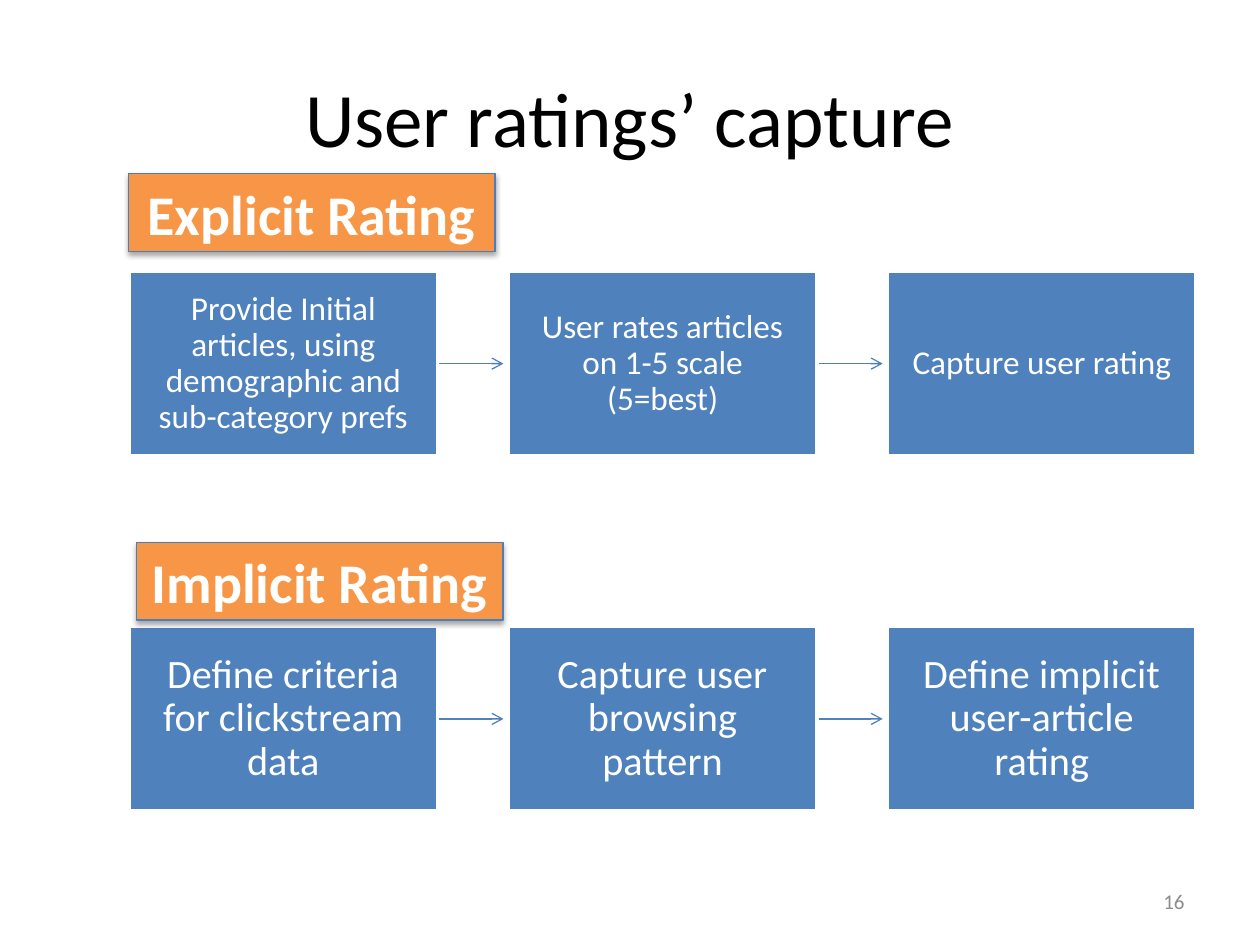
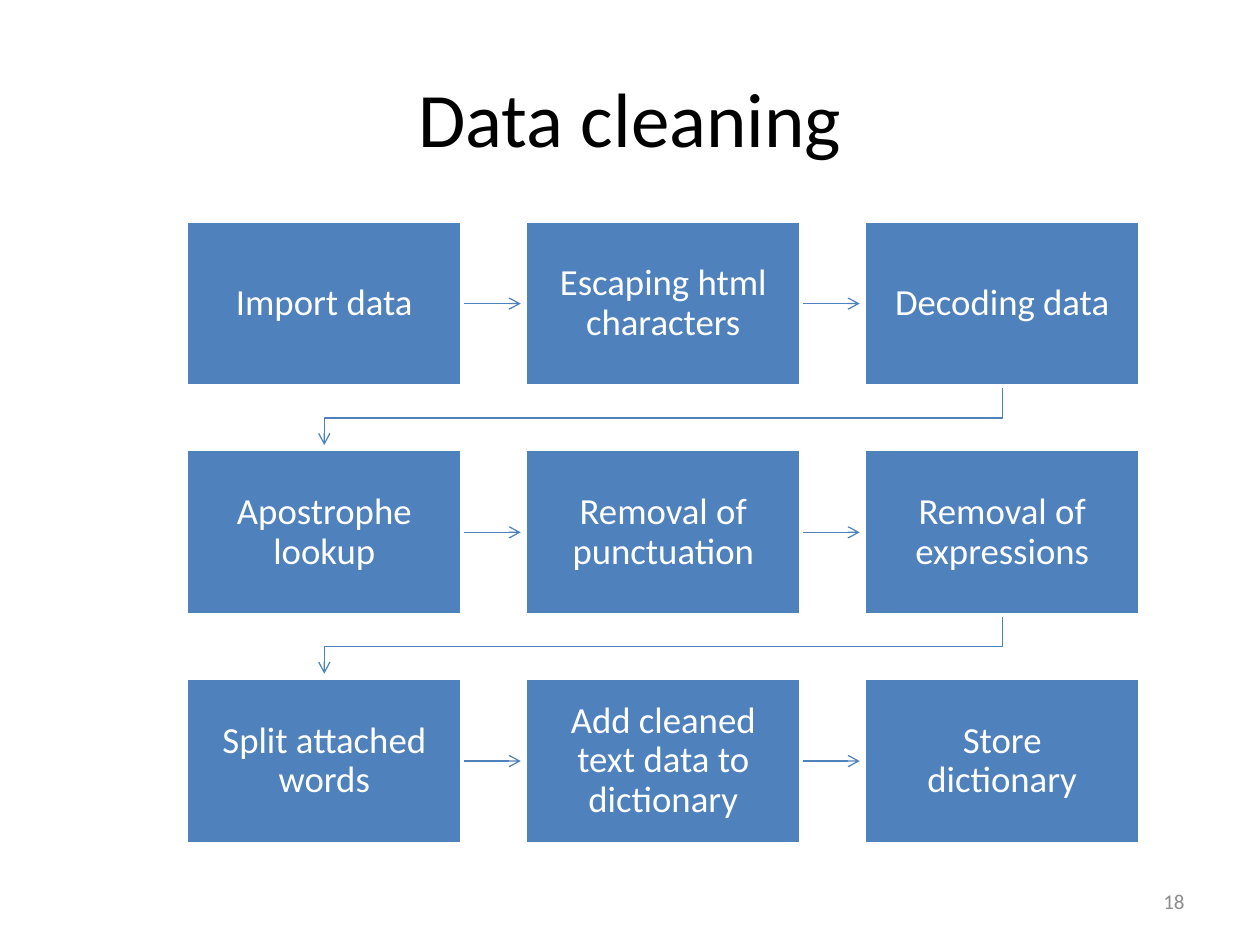
from dataclasses import dataclass

from lxml import etree
from pptx import Presentation
from pptx import util as u
from pptx.dml.color import RGBColor
from pptx.enum import shapes, text
from pptx.oxml import parse_xml
from pptx.oxml.ns import nsdecls, qn


@dataclass(frozen=True)
class Theme:
    font: str = "Calibri"
    blue: str = "4F81BD"
    orange: str = "F79646"
    label_edge: str = "4B7EBC"
    white: str = "FFFFFF"
    black: str = "000000"
    grey: str = "8C8C8C"
    title_size: float = 44
    label_size: float = 32
    number_size: float = 12
    thin_line: float = 0.75
    box_line: float = 2


THEME = Theme()
ARROW_GAP = 2.7      # space between an arrowhead and the next box
INSET_RATIO = 0.56   # box inset relative to type size


@dataclass(frozen=True)
class Grid:
    left: float
    top: float
    width: float
    height: float
    column_step: float
    row_step: float
    size: float


# --- Text and line basics ---
def write(shape, words, size, color, align=text.PP_ALIGN.CENTER, bold=False, spacing=None):
    frame = shape.text_frame
    frame.word_wrap = True
    frame.vertical_anchor = text.MSO_ANCHOR.MIDDLE
    paragraph = frame.paragraphs[0]
    paragraph.alignment = align
    if spacing:
        paragraph.line_spacing = spacing
    run = paragraph.add_run()
    run.text = words
    run.font.name = THEME.font
    run.font.size = u.Pt(size)
    run.font.bold = bold
    run.font.color.rgb = RGBColor.from_string(color)


def add_text(slide, words, left, top, width, height, size, color, align=text.PP_ALIGN.CENTER):
    shape = slide.shapes.add_textbox(*map(u.Pt, (left, top, width, height)))
    write(shape, words, size, color, align)


def add_rectangle(slide, left, top, width, height, fill, edge, edge_width):
    shape = slide.shapes.add_shape(
        shapes.MSO_SHAPE.RECTANGLE, *map(u.Pt, (left, top, width, height)))
    shape.shadow.inherit = False
    shape.fill.solid()
    shape.fill.fore_color.rgb = RGBColor.from_string(fill)
    shape.line.color.rgb = RGBColor.from_string(edge)
    shape.line.width = u.Pt(edge_width)
    return shape


def style_arrow(arrow):
    arrow.line.color.rgb = RGBColor.from_string(THEME.blue)
    arrow.line.width = u.Pt(THEME.thin_line)
    properties = arrow.element.spPr
    etree.SubElement(properties.find(qn("a:ln")), qn("a:tailEnd"), type="arrow")
    if properties.find(qn("a:effectLst")) is None:
        etree.SubElement(properties, qn("a:effectLst"))


# --- Flow elements ---
def add_step(slide, words, left, top, grid):
    box = add_rectangle(slide, left, top, grid.width, grid.height,
                        THEME.blue, THEME.white, THEME.box_line)
    frame = box.text_frame
    inset = u.Pt(grid.size * INSET_RATIO)
    frame.margin_left = frame.margin_right = inset
    frame.margin_top = frame.margin_bottom = inset
    write(box, words, grid.size, THEME.white, spacing=0.9)
    return box


def add_arrow(slide, source, target):
    middle = source.top + source.height // 2
    arrow = slide.shapes.add_connector(
        shapes.MSO_CONNECTOR.STRAIGHT, source.left + source.width, middle,
        target.left - u.Pt(ARROW_GAP), middle)
    arrow.begin_connect(source, 3)
    style_arrow(arrow)
    source.element.addprevious(arrow.element)  # behind the box border


def add_return_arrow(slide, source, target):
    start_x = source.left + source.width // 2
    end_x = target.left + target.width // 2
    start_y = source.top + source.height
    turn_y = (start_y + target.top) // 2
    builder = slide.shapes.build_freeform(start_x, start_y)
    builder.add_line_segments(
        [(start_x, turn_y), (end_x, turn_y), (end_x, target.top - u.Pt(ARROW_GAP))],
        close=False)
    arrow = builder.convert_to_shape()
    arrow.fill.background()
    arrow.shadow.inherit = False
    style_arrow(arrow)
    source.element.addprevious(arrow.element)


def add_flow(slide, grid, rows):
    previous = None
    for row, steps in enumerate(rows):
        for column, words in enumerate(steps):
            box = add_step(slide, words, grid.left + column * grid.column_step,
                           grid.top + row * grid.row_step, grid)
            if previous is not None:
                connect = add_arrow if column else add_return_arrow
                connect(slide, previous, box)
            previous = box


def add_label(slide, words, left, top):
    label = add_rectangle(slide, left, top, 209.5, 44.6,
                          THEME.orange, THEME.label_edge, THEME.thin_line)
    write(label, words, THEME.label_size, THEME.white, bold=True)
    properties = label.element.spPr
    properties.remove(properties.find(qn("a:effectLst")))
    properties.append(parse_xml(
        f'<a:effectLst {nsdecls("a")}>'
        f'<a:outerShdw blurRad="{u.Pt(3.1)}" dist="{u.Pt(1.8)}" dir="5400000" rotWithShape="0">'
        f'<a:srgbClr val="{THEME.black}"><a:alpha val="35000"/></a:srgbClr>'
        '</a:outerShdw></a:effectLst>'))


# --- Slide frame ---
def add_slide(presentation, title, number):
    slide = presentation.slides.add_slide(presentation.slide_layouts[6])
    add_text(slide, title, 36, 21.6, 648, 90, THEME.title_size, THEME.black)
    add_text(slide, number, 516, 500.5, 168, 28.75, THEME.number_size, THEME.grey,
             text.PP_ALIGN.RIGHT)
    return slide


def main():
    presentation = Presentation()
    presentation.slide_width = u.Pt(720)
    presentation.slide_height = u.Pt(540)

    # User ratings: two separate flows, each under its label
    slide = add_slide(presentation, "User ratings’ capture", "16")
    ratings = [
        ("Explicit Rating", 73.4, 99.2, 155, 19,
         ["Provide Initial articles, using demographic and sub-category prefs",
          "User rates articles on 1-5 scale (5=best)",
          "Capture user rating"]),
        ("Implicit Rating", 77.9, 309.8, 358, 23,
         ["Define criteria for clickstream data",
          "Capture user browsing pattern",
          "Define implicit user-article rating"]),
    ]
    for name, label_left, label_top, flow_top, size, steps in ratings:
        add_flow(slide, Grid(73.7, flow_top, 176.4, 105.6, 216.7, 0, size), [steps])
        add_label(slide, name, label_left, label_top)

    # Data cleaning: one flow over three rows
    slide = add_slide(presentation, "Data cleaning", "18")
    add_flow(slide, Grid(106.6, 126.3, 157.4, 94.4, 193.7, 130.7, 21), [
        ["Import data", "Escaping html characters", "Decoding data"],
        ["Apostrophe lookup", "Removal of punctuation", "Removal of expressions"],
        ["Split attached words", "Add cleaned text data to dictionary", "Store dictionary"],
    ])

    presentation.save("out.pptx")


if __name__ == "__main__":
    main()
